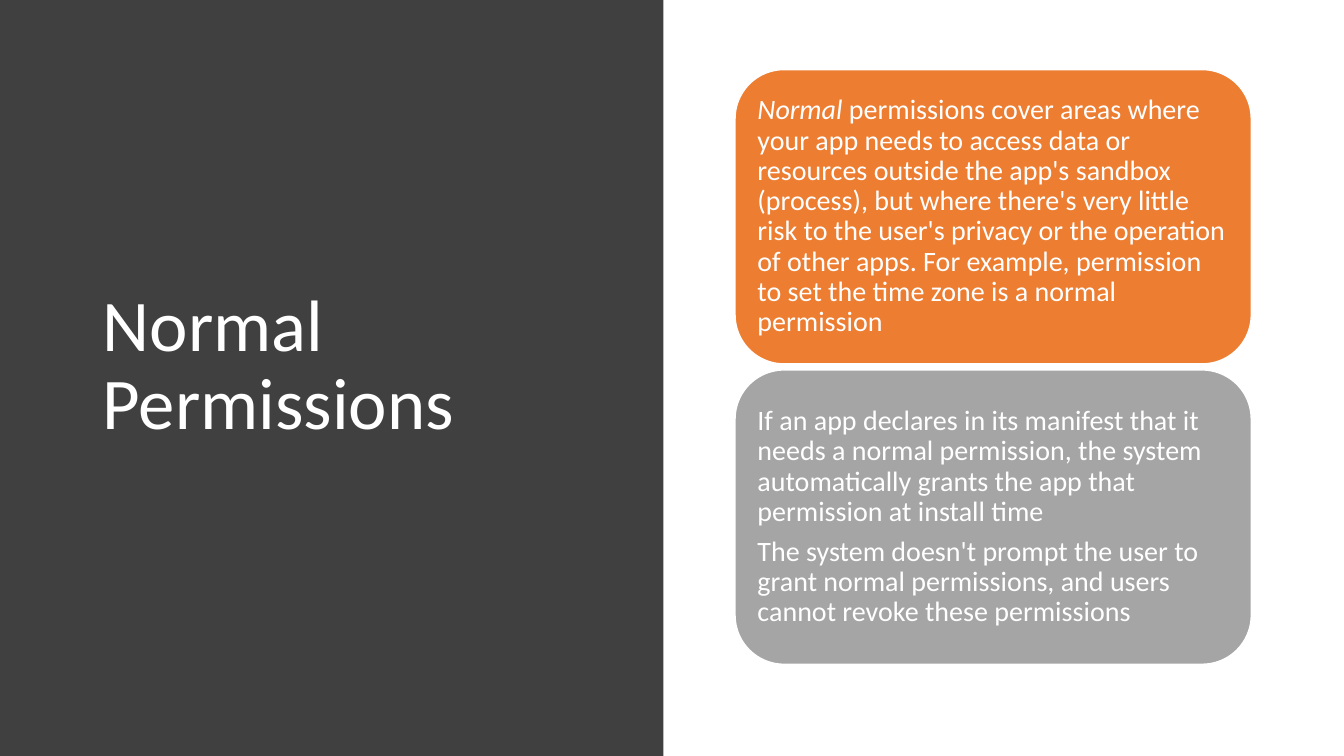
from dataclasses import dataclass

import pptx
import pptx.dml.color
import pptx.enum.shapes
import pptx.enum.text
import pptx.util

Inches = pptx.util.Inches
Pt = pptx.util.Pt
MSO_SHAPE = pptx.enum.shapes.MSO_SHAPE


@dataclass(frozen=True)
class Theme:
    font: str = "Calibri"
    panel: str = "404040"
    orange: str = "ED7D31"
    grey: str = "A5A5A5"
    white: str = "FFFFFF"
    title_size: float = 52
    body_size: float = 20


@dataclass(frozen=True)
class Run:
    text: str
    italic: bool = False


@dataclass(frozen=True)
class Card:
    fill: str
    paragraphs: list[list[Run]]


THEME = Theme()

CARDS = [
    Card(THEME.orange, [[
        Run("Normal", italic=True),
        Run(" permissions cover areas where your app needs to access data or "
            "resources outside the app's sandbox (process), but where there's "
            "very little risk to the user's privacy or the operation of other "
            "apps. For example, permission to set the time zone is a normal "
            "permission"),
    ]]),
    Card(THEME.grey, [
        [Run("If an app declares in its manifest that it needs a normal "
             "permission, the system automatically grants the app that "
             "permission at install time")],
        [Run("The system doesn't prompt the user to grant normal permissions, "
             "and users cannot revoke these permissions")],
    ]),
]
CARD_LEFT, CARD_TOP = 7.29, 0.69
CARD_WIDTH, CARD_HEIGHT = 5.12, 2.92
CARD_PITCH = 2.98


def rgb(value: str) -> pptx.dml.color.RGBColor:
    return pptx.dml.color.RGBColor.from_string(value)


def write_text(shape, paragraphs: list[list[Run]], *, size: float,
               space_after: float = 0, inset: float | None = None) -> None:
    """Fill a shape with left-aligned, vertically centred white text."""
    frame = shape.text_frame
    frame.word_wrap = True
    frame.auto_size = pptx.enum.text.MSO_AUTO_SIZE.NONE
    frame.vertical_anchor = pptx.enum.text.MSO_ANCHOR.MIDDLE
    if inset is not None:
        frame.margin_left = frame.margin_right = Inches(inset)
        frame.margin_top = frame.margin_bottom = Inches(inset)
    for index, runs in enumerate(paragraphs):
        paragraph = frame.add_paragraph() if index else frame.paragraphs[0]
        paragraph.alignment = pptx.enum.text.PP_ALIGN.LEFT
        paragraph.line_spacing = 0.9
        paragraph.space_before = Pt(0)
        paragraph.space_after = Pt(space_after)
        for item in runs:
            run = paragraph.add_run()
            run.text = item.text
            run.font.name = THEME.font
            run.font.size = Pt(size)
            run.font.italic = item.italic
            run.font.color.rgb = rgb(THEME.white)


def add_block(slide, preset, left: float, top: float, width: float,
              height: float, fill: str, line: str | None = None):
    block = slide.shapes.add_shape(
        preset, Inches(left), Inches(top), Inches(width), Inches(height))
    block.shadow.inherit = False
    block.fill.solid()
    block.fill.fore_color.rgb = rgb(fill)
    if line:
        block.line.color.rgb = rgb(line)
        block.line.width = Pt(1)
    else:
        block.line.fill.background()
    return block


def add_title(slide) -> None:
    title = slide.shapes.title
    title.left, title.top = Inches(0.92), Inches(0.68)
    title.width, title.height = Inches(5.24), Inches(5.92)
    write_text(title, [[Run("Normal Permissions")]], size=THEME.title_size)
    # Bring the title in front of the dark panel
    title.element.getparent().append(title.element)


def add_card(slide, card: Card, top: float) -> None:
    block = add_block(slide, MSO_SHAPE.ROUNDED_RECTANGLE, CARD_LEFT, top,
                      CARD_WIDTH, CARD_HEIGHT, card.fill, line=THEME.white)
    write_text(block, card.paragraphs, size=THEME.body_size,
               space_after=0.35 * THEME.body_size, inset=0.08)


def main() -> None:
    presentation = pptx.Presentation()
    presentation.slide_width = Inches(13.33)
    presentation.slide_height = Inches(7.5)
    slide = presentation.slides.add_slide(presentation.slide_layouts[5])
    slide.background.fill.solid()
    slide.background.fill.fore_color.rgb = rgb(THEME.white)

    add_block(slide, MSO_SHAPE.RECTANGLE, 0, 0, 6.58, 7.5, THEME.panel)
    add_title(slide)
    for row, card in enumerate(CARDS):
        add_card(slide, card, CARD_TOP + row * CARD_PITCH)

    presentation.save("out.pptx")


if __name__ == "__main__":
    main()
